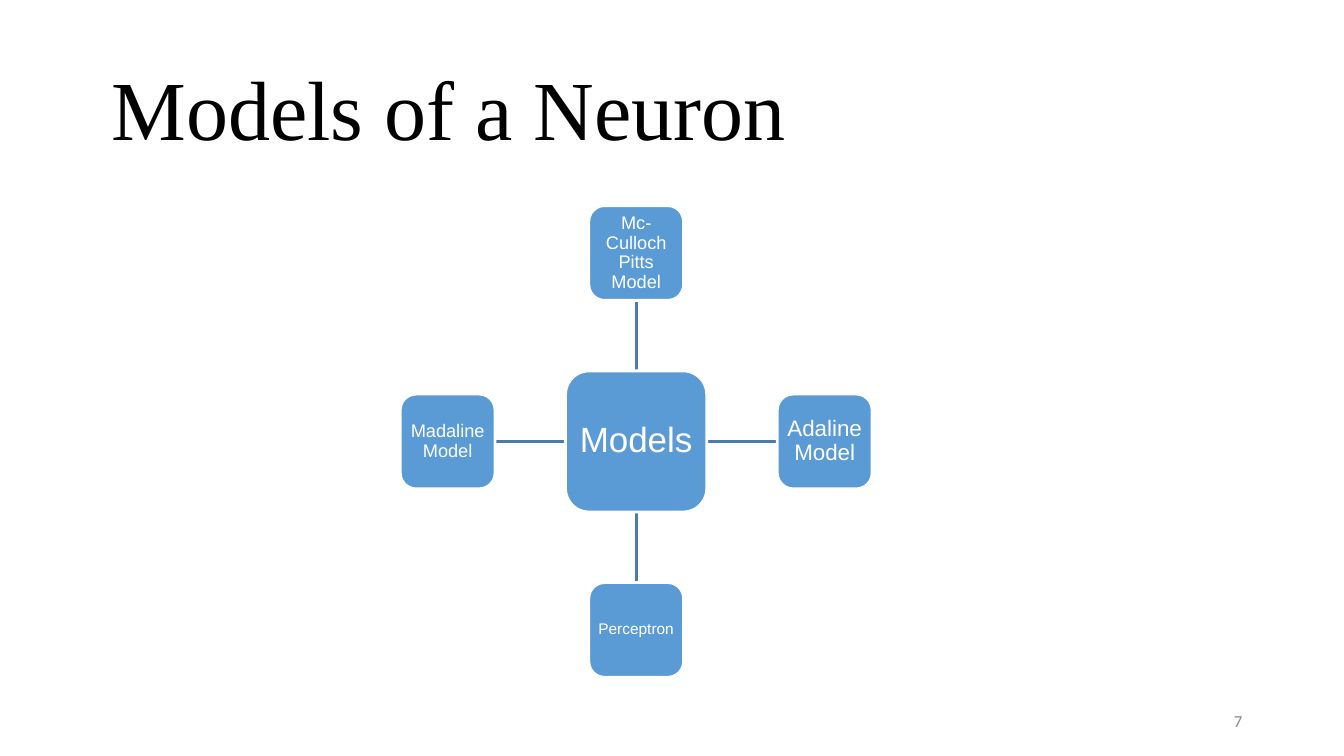
from lxml.etree import SubElement
from pptx import Presentation
from pptx.dml.color import RGBColor
from pptx.enum.shapes import MSO_CONNECTOR, MSO_SHAPE
from pptx.enum.text import MSO_ANCHOR, PP_ALIGN
from pptx.oxml.ns import qn
from pptx.util import Inches, Pt

COLORS = {
    "node": "5B9BD5",
    "link": "497CAB",
    "white": "FFFFFF",
    "title": "000000",
    "number": "888888",
}
CENTER_X, CENTER_Y = 6.31, 4.38
HUB_SIZE, MODEL_SIZE = 1.4, 0.94
DISTANCE = 1.87
TOP, LEFT, BOTTOM, RIGHT = range(4)  # connection sites of a rectangle

# text, font size, direction from the hub, hub site, model site
MODELS = [
    ("Mc-Culloch Pitts Model", 13, (0, -1), TOP, BOTTOM),
    ("Adaline Model", 16, (1, 0), RIGHT, LEFT),
    ("Perceptron", 11, (0, 1), BOTTOM, TOP),
    ("Madaline Model", 13, (-1, 0), LEFT, RIGHT),
]


def rgb(name):
    return RGBColor.from_string(COLORS[name])


def set_text(s, text, size, color, font="Arial", align=PP_ALIGN.LEFT,
             anchor=MSO_ANCHOR.MIDDLE, spacing=1.0, inset=(0.1, 0.05)):
    tf = s.text_frame
    tf.word_wrap = True
    tf.vertical_anchor = anchor
    tf.margin_left = tf.margin_right = Inches(inset[0])
    tf.margin_top = tf.margin_bottom = Inches(inset[1])
    p = tf.paragraphs[0]
    p.alignment = align
    p.line_spacing = spacing
    r = p.add_run()
    r.text = text
    r.font.name = font
    r.font.size = Pt(size)
    r.font.color.rgb = rgb(color)


def add_label(slide, box, text, size, color, **fmt):
    s = slide.shapes.add_textbox(*map(Inches, box))
    set_text(s, text, size, color, **fmt)


def add_node(slide, x, y, side, text, size, inset):
    """Add a rounded square centred on x, y."""
    s = slide.shapes.add_shape(
        MSO_SHAPE.ROUNDED_RECTANGLE, Inches(x - side / 2), Inches(y - side / 2),
        Inches(side), Inches(side))
    s.shadow.inherit = False
    s.fill.solid()
    s.fill.fore_color.rgb = rgb("node")
    s.line.color.rgb = rgb("white")
    s.line.width = Pt(2)
    set_text(s, text, size, "white", align=PP_ALIGN.CENTER, spacing=0.9,
             inset=(inset, inset))
    return s


def add_link(slide):
    """Add an unplaced line; joining its ends to nodes places it."""
    s = slide.shapes.add_connector(MSO_CONNECTOR.STRAIGHT, 0, 0, 0, 0)
    s.line.color.rgb = rgb("link")
    s.line.width = Pt(2)
    SubElement(s._element.spPr, qn("a:effectLst"))
    return s


def add_model_diagram(slide):
    # Links come first so that the white node outlines lie over their ends.
    links = [add_link(slide) for _ in MODELS]
    hub = add_node(slide, CENTER_X, CENTER_Y, HUB_SIZE, "Models", 25, 0.07)
    for link, (text, size, (dx, dy), hub_site, model_site) in zip(links, MODELS):
        model = add_node(slide, CENTER_X + dx * DISTANCE, CENTER_Y + dy * DISTANCE,
                         MODEL_SIZE, text, size, 0.03)
        link.begin_connect(hub, hub_site)
        link.end_connect(model, model_site)


def main():
    prs = Presentation()
    prs.slide_width, prs.slide_height = Inches(13.33), Inches(7.5)
    slide = prs.slides.add_slide(prs.slide_layouts[6])
    add_label(slide, (1.01, 0.33, 11.5, 1.29), "Models of a Neuron", 60, "title",
              font="Times New Roman", anchor=MSO_ANCHOR.BOTTOM, spacing=0.9)
    add_label(slide, (9.42, 6.95, 3, 0.4), "7", 12, "number",
              font="Calibri", align=PP_ALIGN.RIGHT)
    add_model_diagram(slide)
    prs.save("out.pptx")


if __name__ == "__main__":
    main()
